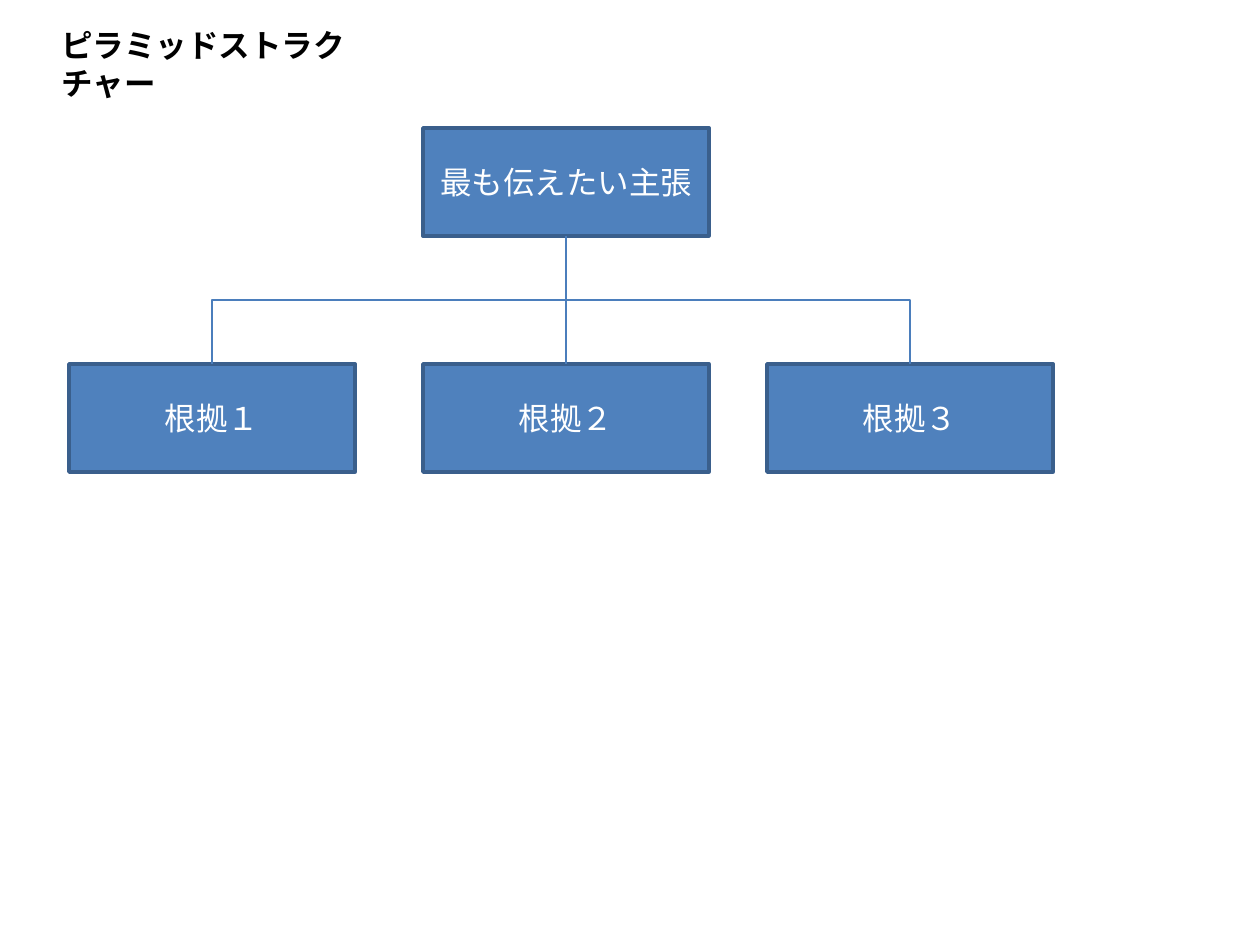
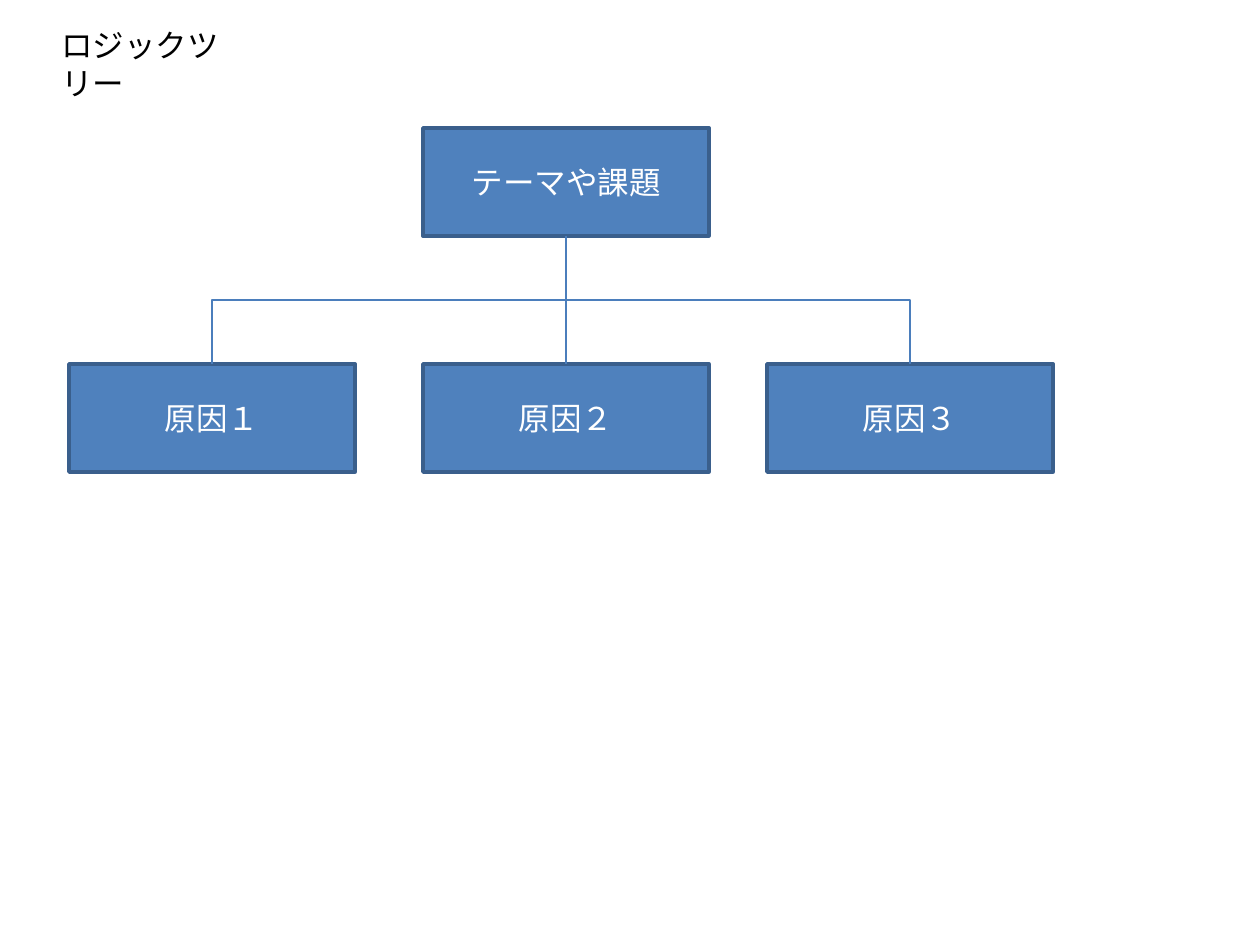
from pptx import Presentation
from pptx.dml.color import RGBColor
from pptx.enum.shapes import MSO_CONNECTOR as Link, MSO_SHAPE as Shape
from pptx.enum.text import MSO_ANCHOR as Anchor, PP_ALIGN as Align
from pptx.oxml.ns import qn
from pptx.util import Emu, Pt
from lxml import etree

BLACK = RGBColor(0x00, 0x00, 0x00)
WHITE = RGBColor(0xFF, 0xFF, 0xFF)
BLUE = RGBColor(0x4F, 0x81, 0xBD)
EDGE = RGBColor(0x3A, 0x5F, 0x8C)
WIRE = RGBColor(0x4B, 0x7E, 0xBC)
FONT = "Calibri"
WIDE, HIGH = 286, 108
ROOT_X, ROOT_Y, LEAF_Y = 423, 128, 364
LEAF_XS = [69, 423, 767]
DROP = LEAF_Y - ROOT_Y - HIGH
MID_Y = ROOT_Y + HIGH + DROP // 2

TREES = [
    ("ピラミッドストラクチャー", 333, True, "最も伝えたい主張", "根拠"),
    ("ロジックツリー", 211, False, "テーマや課題", "原因"),
]


def px(n):
    return Emu(round(n * 914400 / 126))


def add_box(slide, x, y, text):
    box = slide.shapes.add_shape(Shape.RECTANGLE, px(x), px(y), px(WIDE), px(HIGH))
    box.shadow.inherit = False
    box.fill.solid()
    box.fill.fore_color.rgb = BLUE
    box.line.color.rgb = EDGE
    box.line.width = Pt(2)
    frame = box.text_frame
    frame.word_wrap = True
    frame.vertical_anchor = Anchor.MIDDLE
    para = frame.paragraphs[0]
    para.text = text
    para.alignment = Align.CENTER
    para.font.name = FONT
    para.font.size = Pt(18)
    para.font.color.rgb = WHITE
    return box


deck = Presentation()
deck.slide_width, deck.slide_height = px(1260), px(945)

for title, width, bold, claim, stem in TREES:
    slide = deck.slides.add_slide(deck.slide_layouts[6])
    head = slide.shapes.add_textbox(px(49), px(20), px(width), px(50))
    head.text_frame.word_wrap = True
    para = head.text_frame.paragraphs[0]
    para.text = title
    para.font.name = FONT
    para.font.size = Pt(18)
    para.font.bold = bold
    para.font.color.rgb = BLACK

    root = add_box(slide, ROOT_X, ROOT_Y, claim)
    for x, digit in zip(LEAF_XS, "１２３"):
        leaf = add_box(slide, x, LEAF_Y, stem + digit)
        wire = slide.shapes.add_connector(Link.ELBOW, 0, 0, 0, 0)
        wire.begin_connect(root, 2)
        wire.end_connect(leaf, 0)
        wire.line.color.rgb = WIRE
        wire.line.width = Pt(0.75)

        span = abs(x - ROOT_X)
        wire.left = px((x + ROOT_X + WIDE - DROP) / 2)
        wire.top = px(MID_Y - span / 2)
        wire.width, wire.height = px(DROP), px(span)
        props = wire._element.spPr
        right = x > ROOT_X
        turn = props.find(qn("a:xfrm"))
        turn.set("rot", str((270 if right else 90) * 60000))
        turn.set("flipH", "1" if right else "0")
        turn.set("flipV", "0")
        etree.SubElement(props, qn("a:effectLst"))

deck.save("out.pptx")
